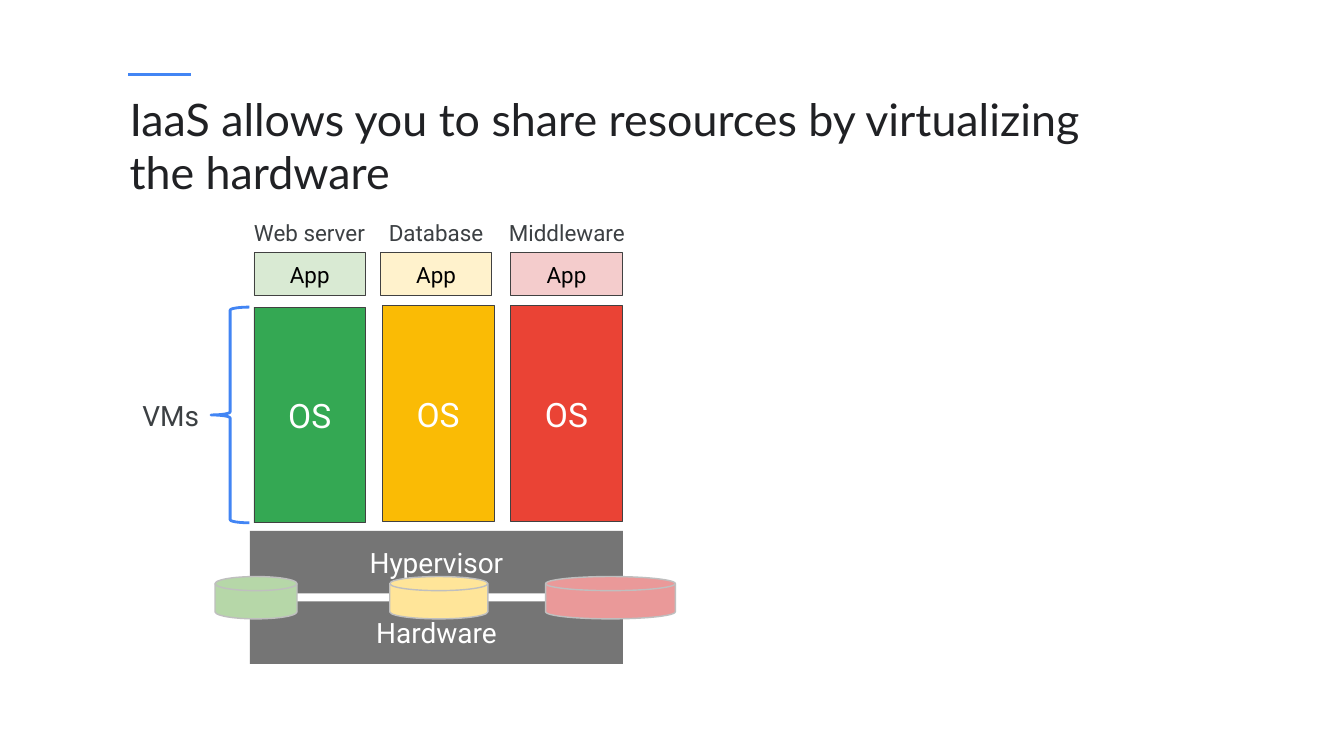
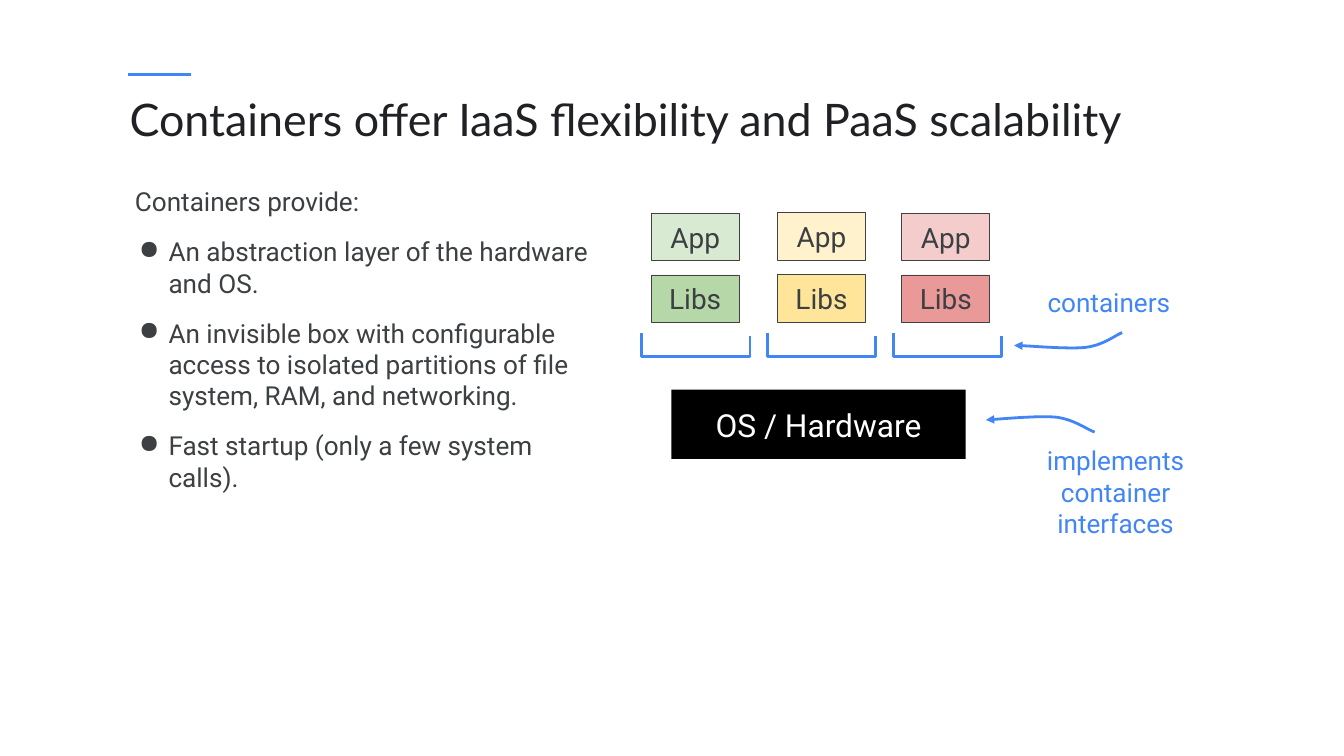
from lxml.etree import SubElement
from pptx import Presentation
from pptx.dml.color import RGBColor
from pptx.enum.shapes import MSO_SHAPE
from pptx.enum.text import MSO_ANCHOR, PP_ALIGN
from pptx.oxml.ns import qn
from pptx.util import Inches, Pt

COLORS = {
    "blue": "4285F4", "title": "202124", "text": "3C4043",
    "black": "000000", "white": "FFFFFF", "gray": "757575",
    "outline": "414141", "disk_line": "BFBFBF",
    "green": "34A853", "green_mid": "B6D7A8", "green_light": "D9EAD3",
    "yellow": "FABB05", "yellow_mid": "FFE599", "yellow_light": "FFF2CC",
    "red": "EA4335", "red_mid": "EA9999", "red_light": "F4CCCC",
}
HUES = ("green", "yellow", "red")


def rgb(name):
    return RGBColor.from_string(COLORS[name])


def set_attrs(obj, values):
    for name, value in values.items():
        setattr(obj, name, value)


def bezier(p0, p1, p2, p3, steps=16):
    for i in range(1, steps + 1):
        t = i / steps
        u = 1 - t
        yield tuple(u**3 * a + 3 * u * u * t * b + 3 * u * t * t * c + t**3 * d
                    for a, b, c, d in zip(p0, p1, p2, p3))


class Deck:
    def __init__(self, width, height):
        self.prs = Presentation()
        set_attrs(self.prs, {"slide_width": Inches(width), "slide_height": Inches(height)})
        self.s = None

    def slide(self, title):
        self.s = self.prs.slides.add_slide(self.prs.slide_layouts[6])
        rule = self.s.shapes.add_connector(1, Inches(1.91), Inches(1.11), Inches(2.84), Inches(1.11))
        self.outline(rule, "blue", 3)
        SubElement(rule._element.spPr, qn("a:effectLst"))
        self.text((1.83, 1.26, 16.16, 1.25), [title], size=48, color="title", font="Lato")

    def outline(self, sp, color, width):
        sp.line.color.rgb = rgb(color)
        sp.line.width = Pt(width)

    def fill_text(self, sp, lines, size, color, font="Roboto", align=PP_ALIGN.LEFT,
                  anchor=MSO_ANCHOR.TOP, inset=0.1):
        tf = sp.text_frame
        margins = {f"margin_{side}": Inches(inset) for side in ("left", "top", "right", "bottom")}
        set_attrs(tf, {"word_wrap": True, "vertical_anchor": anchor, **margins})
        for i, line in enumerate(lines):
            p = tf.add_paragraph() if i else tf.paragraphs[0]
            p.text = line
            p.alignment = align
            for r in p.runs:
                set_attrs(r.font, {"size": Pt(size), "name": font})
                r.font.color.rgb = rgb(color)
        return tf

    def text(self, box, lines, **style):
        sp = self.s.shapes.add_textbox(*map(Inches, box))
        return self.fill_text(sp, lines, **style)

    def shape(self, kind, box, fill=None, line=None, width=0.75):
        sp = self.s.shapes.add_shape(kind, *map(Inches, box))
        self.paint(sp, fill, line, width)
        return sp

    def paint(self, sp, fill, line, width):
        sp.shadow.inherit = False
        if fill:
            sp.fill.solid()
            sp.fill.fore_color.rgb = rgb(fill)
        else:
            sp.fill.background()
        if line:
            self.outline(sp, line, width)
        else:
            sp.line.fill.background()

    def block(self, box, label, fill, size, color="white", line="outline"):
        sp = self.shape(MSO_SHAPE.RECTANGLE, box, fill, line)
        self.fill_text(sp, [label], size, color, align=PP_ALIGN.CENTER,
                       anchor=MSO_ANCHOR.MIDDLE, inset=0.2)

    def open_line(self, points):
        start, *rest = [tuple(map(Inches, pt)) for pt in points]
        fb = self.s.shapes.build_freeform(*start)
        fb.add_line_segments(rest, close=False)
        sp = fb.convert_to_shape()
        self.paint(sp, None, "blue", 3)
        return sp

    def curved_arrow(self, start, *curves):
        points = [start]
        for curve in curves:
            points += bezier(points[-1], *curve)
        sp = self.open_line(points)
        SubElement(sp._element.spPr.find(qn("a:ln")), qn("a:tailEnd"), type="triangle")

    def bullet(self, p):
        p.space_before = Pt(20)
        pPr = p._p.get_or_add_pPr()
        pPr.set("marL", str(Inches(0.5)))
        pPr.set("indent", str(Inches(-0.44)))
        SubElement(SubElement(pPr, qn("a:buClr")), qn("a:srgbClr"), val=COLORS["text"])
        SubElement(pPr, qn("a:buChar"), char="●")


def virtual_machines(deck):
    deck.slide("IaaS allows you to share resources by virtualizing \nthe hardware")
    for label, left, width in (("Web server", 3.51, 2.19), ("Database", 5.76, 1.46),
                               ("Middleware", 7.47, 1.93)):
        deck.text((left, 2.77, width, 0.89), [label], size=24, color="text",
                  align=PP_ALIGN.CENTER, anchor=MSO_ANCHOR.BOTTOM, inset=0)
    brace = deck.shape(MSO_SHAPE.LEFT_BRACE, (3.14, 4.57, 0.57, 3.21), line="blue", width=3)
    brace.adjustments[0] = 0.08
    deck.text((2.02, 5.67, 1.13, 1.01), ["VMs"], size=30, color="text", anchor=MSO_ANCHOR.MIDDLE)
    for label, top in (("Hardware", 8.95), ("Hypervisor", 7.9)):
        deck.block((3.72, top, 5.55, 0.93), label, "gray", 30, line=None)
    columns = ((3.78, 3.78, 4.57, 3.2, 1.22), (5.66, 5.69, 4.55, 5.8, 1.46),
               (7.6, 7.6, 4.55, 8.12, 1.93))
    for hue, (app_left, os_left, os_top, disk_left, disk_width) in zip(HUES, columns):
        deck.block((app_left, 3.76, 1.66, 0.64), "App", f"{hue}_light", 24, "black")
        deck.block((os_left, os_top, 1.66, 3.21), "OS", hue, 36)
        deck.shape(MSO_SHAPE.FLOWCHART_MAGNETIC_DISK, (disk_left, 8.58, disk_width, 0.63),
                   f"{hue}_mid", "disk_line", 1.5)


def containers(deck):
    deck.slide("Containers offer IaaS flexibility and PaaS scalability")
    for i, (hue, left, top) in enumerate(zip(HUES, (9.69, 11.57, 13.42), (3.17, 3.16, 3.17))):
        deck.block((left, top, 1.31, 0.71), "App", f"{hue}_light", 30, "text")
        deck.block((left, top + 0.92, 1.31, 0.71), "Libs", f"{hue}_mid", 30, "text")
        x = 9.55 + 1.87 * i
        deck.open_line([(x, 4.96), (x, 5.31), (x + 1.61, 5.31), (x + 1.61, 5)])
    deck.block((9.99, 5.8, 4.38, 1.03), "OS / Hardware", "black", 34, line=None)
    for label, box in (("containers", (15.24, 4.16, 2.52, 0.71)),
                       ("implements container interfaces", (15.24, 6.52, 2.72, 1.37))):
        deck.text(box, [label], size=28, color="blue", align=PP_ALIGN.CENTER)
    deck.curved_arrow((16.7, 4.95), ((16.61, 4.98), (16.42, 5.14), (16.15, 5.17)),
                      ((15.88, 5.2), (15.26, 5.14), (15.09, 5.14)))
    deck.curved_arrow((16.29, 6.43), ((16.19, 6.4), (16, 6.25), (15.73, 6.21)),
                      ((15.46, 6.18), (14.85, 6.24), (14.67, 6.25)))
    tf = deck.text((1.91, 2.66, 7.02, 6.24), [
        "Containers provide:",
        "An abstraction layer of the hardware and OS.",
        "An invisible box with configurable access to isolated partitions of file system, "
        "RAM, and networking.",
        "Fast startup (only a few system calls).",
    ], size=28, color="text")
    for p in tf.paragraphs[1:]:
        deck.bullet(p)


def main():
    deck = Deck(20, 11.25)
    virtual_machines(deck)
    containers(deck)
    deck.prs.save("out.pptx")


if __name__ == "__main__":
    main()
